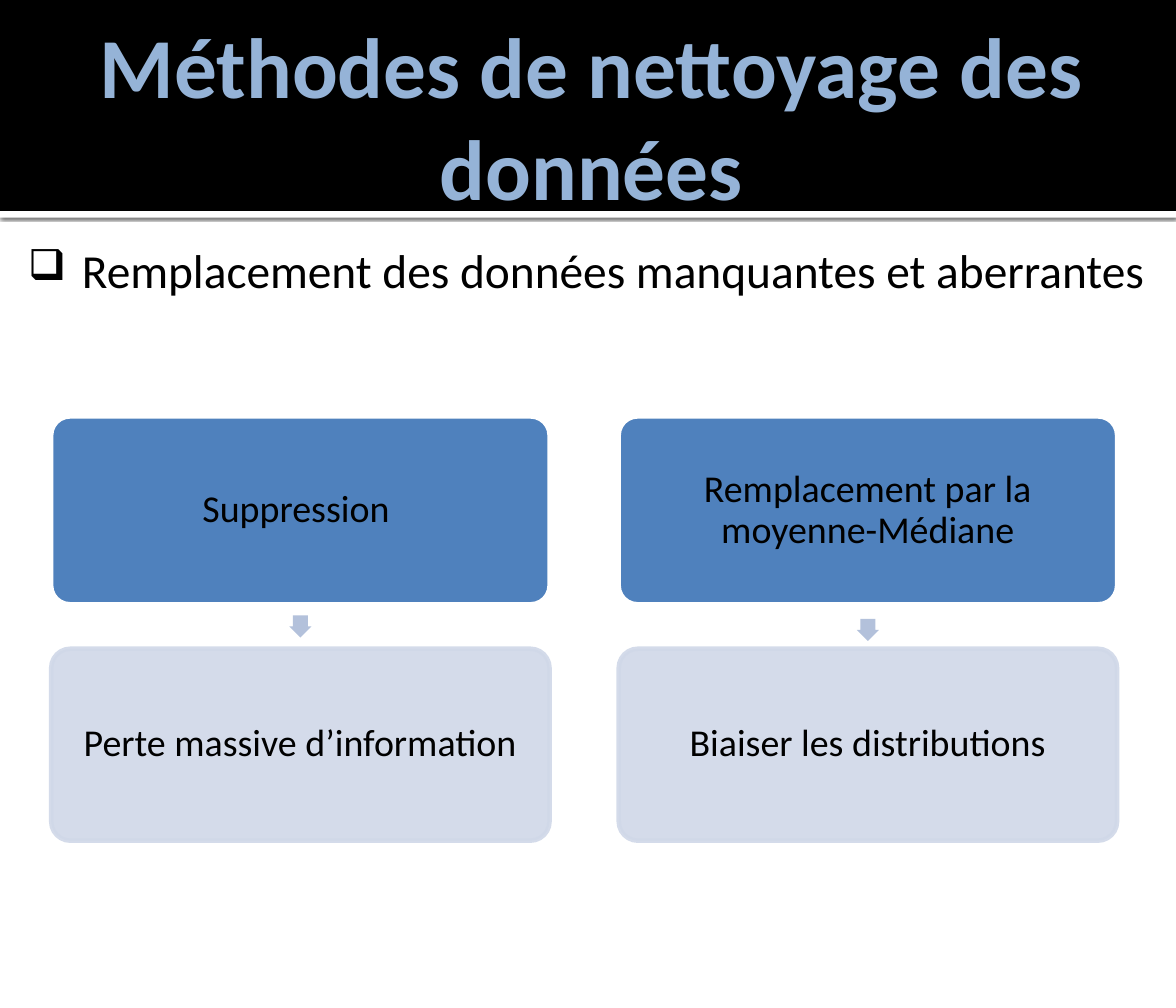
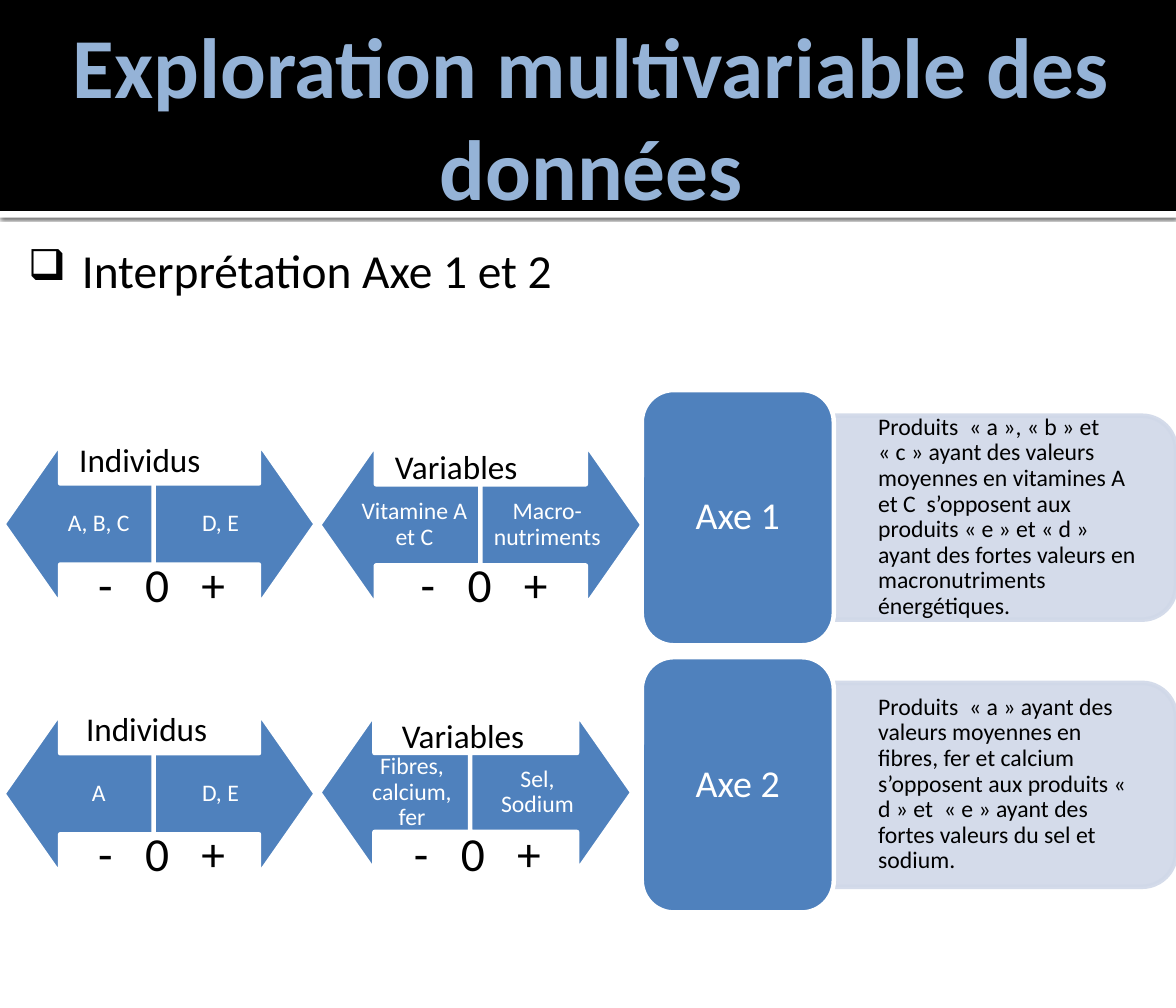
"""Build two slides on data cleaning and on the reading of two factor axes."""
from lxml import etree
from pptx import Presentation
from pptx import util as u
from pptx.dml.color import RGBColor
from pptx.enum import shapes, text
from pptx.oxml import ns

PX = 9144
WIDTH, HEIGHT = 1378, 1181
FONT = "Calibri"
HARD_SPACE = chr(160)
BLACK = RGBColor(0x00, 0x00, 0x00)
WHITE = RGBColor(0xFF, 0xFF, 0xFF)
TITLE_BLUE = RGBColor(0x95, 0xB3, 0xD7)
BLUE = RGBColor(0x4F, 0x81, 0xBD)
PALE_BLUE = RGBColor(0xD0, 0xD8, 0xE8)
ARROW_BLUE = RGBColor(0xB3, 0xC1, 0xDB)
SHAPE = shapes.MSO_SHAPE
CENTER, LEFT = text.PP_ALIGN.CENTER, text.PP_ALIGN.LEFT
MIDDLE, TOP = text.MSO_ANCHOR.MIDDLE, text.MSO_ANCHOR.TOP

CLEANING = {
    "title": "Méthodes de nettoyage des données",
    "subtitle": "Remplacement des données manquantes et aberrantes",
    "methods": [
        ("Suppression ", "Perte massive d’information", 721),
        ("Remplacement par la moyenne-Médiane", "Biaiser les distributions", 725),
    ],
}
EXPLORATION = {
    "title": "Exploration multivariable des données",
    "subtitle": "Interprétation Axe 1 et 2",
    "scales": [
        {"name": "Individus", "name_at": (83, 510), "signs_at": (75, 635), "top": 519, "height": 190,
         "minus": ("A, B, C", 4, 190), "plus": ("D, E", 180, 190)},
        {"name": "Variables", "name_at": (453, 518), "signs_at": (453, 635), "top": 520, "height": 190,
         "minus": ("Vitamine A et C", 374, 190), "plus": ("Macro-nutriments", 563, 190)},
        {"name": "Individus", "name_at": (91, 825), "signs_at": (75, 950), "top": 835, "height": 190,
         "minus": ("A", 4, 190), "plus": ("D, E", 180, 190)},
        {"name": "Variables", "name_at": (461, 833), "signs_at": (445, 950), "top": 836, "height": 185,
         "minus": ("Fibres, calcium, fer", 374, 185), "plus": ("Sel, Sodium", 551, 190)},
    ],
    "axes": [
        ("Axe 1", "Produits  « a », « b » et « c » ayant des valeurs moyennes en vitamines A et C  "
                  "s’opposent aux  produits « e » et « d »  ayant des fortes valeurs en "
                  "macronutriments énergétiques."),
        ("Axe 2", "Produits  « a » ayant des valeurs moyennes en fibres, fer et calcium s’opposent "
                  "aux produits «  d » et  « e » ayant des fortes valeurs du sel et sodium."),
    ],
}


def px(length):
    return u.Emu(length * PX)


def add_child(parent, tag, **attributes):
    child = etree.SubElement(parent, ns.qn(tag))
    for name, value in attributes.items():
        child.set(name, str(value))
    return child


def bind_quotes(words):
    return words.replace("« ", "«" + HARD_SPACE).replace(" »", HARD_SPACE + "»")


def write(shape, words, size, color, insets, align=LEFT, anchor=TOP, spacing=1.0, bold=False):
    frame = shape.text_frame
    frame.word_wrap = True
    frame.vertical_anchor = anchor
    frame.margin_left, frame.margin_top, frame.margin_right, frame.margin_bottom = map(px, insets)
    frame.text = words
    paragraph = frame.paragraphs[0]
    paragraph.alignment = align
    paragraph.line_spacing = spacing
    for run in paragraph.runs:
        run.font.name = FONT
        run.font.size = u.Pt(size)
        run.font.bold = bold
        run.font.color.rgb = color
    return paragraph


def add_text(slide, box, *args, **style):
    return write(slide.shapes.add_textbox(*map(px, box)), *args, **style)


def add_block(slide, kind, box, fill, line=None, adjustments=(), alpha=None):
    shape = slide.shapes.add_shape(kind, *map(px, box))
    shape.shadow.inherit = False
    for index, value in enumerate(adjustments):
        shape.adjustments[index] = value
    shape.fill.solid()
    shape.fill.fore_color.rgb = fill
    if line is None:
        shape.line.fill.background()
    else:
        shape.line.color.rgb = line
        shape.line.width = u.Pt(3.78)
    if alpha is not None:
        for color in shape.element.spPr.iter(ns.qn("a:srgbClr")):
            add_child(color, "a:alpha", val=alpha * 1000)
    return shape


def add_page(presentation, content):
    slide = presentation.slides.add_slide(presentation.slide_layouts[6])
    strip = add_block(slide, SHAPE.RECTANGLE, (0, 247, WIDTH, 8), WHITE)
    effects = strip.element.spPr.find(ns.qn("a:effectLst"))
    shadow = add_child(effects, "a:outerShdw", blurRad=u.Pt(2.5), dist=u.Pt(0.8), dir=5400000, rotWithShape=0)
    add_child(add_child(shadow, "a:srgbClr", val="000000"), "a:alpha", val=60000)
    add_block(slide, SHAPE.RECTANGLE, (0, 0, WIDTH, 247), BLACK)
    add_text(slide, (69, 27, 1240, 216), content["title"], 72, TITLE_BLUE, (15, 7, 7, 7),
             align=CENTER, anchor=MIDDLE, bold=True)
    subtitle = add_text(slide, (5, 268, 1373, 89), content["subtitle"], 40, BLACK, (9, 15, 15, 7))
    properties = subtitle._p.get_or_add_pPr()
    properties.set("marL", str(px(82)))
    properties.set("indent", str(px(-63)))
    add_child(add_child(properties, "a:buClr"), "a:srgbClr", val="000000")
    add_child(properties, "a:buSzPct", val=90000)
    add_child(properties, "a:buFont", typeface="Wingdings", charset=2)
    add_child(properties, "a:buChar", char="q")
    return slide


def build_cleaning(presentation):
    slide = add_page(presentation, CLEANING)
    box_width, pitch = 584, 665
    for column, (method, effect, arrow_top) in enumerate(CLEANING["methods"]):
        left = 60 + column * pitch
        upper = add_block(slide, SHAPE.ROUNDED_RECTANGLE, (left, 488, box_width, 220), BLUE, WHITE, [0.1])
        add_block(slide, SHAPE.DOWN_ARROW, (left + box_width // 2 - 13, arrow_top, 26, 26),
                  ARROW_BLUE, adjustments=[0.67, 0.5])
        lower = add_block(slide, SHAPE.ROUNDED_RECTANGLE, (left, 760, box_width, 225),
                          PALE_BLUE, PALE_BLUE, [0.1], alpha=90)
        for box, words in ((upper, method), (lower, effect)):
            write(box, words, 32, BLACK, (4, 4, 4, 4), CENTER, MIDDLE, 0.9)


def add_scale(slide, scale):
    add_text(slide, (*scale["name_at"], 205, 57), scale["name"], 28, BLACK, (10, 5, 10, 5))
    for kind, side in ((SHAPE.LEFT_ARROW, "minus"), (SHAPE.RIGHT_ARROW, "plus")):
        words, left, width = scale[side]
        arrow = add_block(slide, kind, (left, scale["top"], width, scale["height"]), BLUE, WHITE, [0.5, 0.35])
        write(arrow, words, 20, WHITE, (15, 16, 15, 16), CENTER, MIDDLE, 0.9)
    signs = add_text(slide, (*scale["signs_at"], 213, 89), "-\t0\t+", 40, BLACK, (40, 15, 15, 7))
    stops = add_child(signs._p.get_or_add_pPr(), "a:tabLst")
    for position in (55, 121):
        add_child(stops, "a:tab", pos=px(position), algn="l")


def build_exploration(presentation):
    slide = add_page(presentation, EXPLORATION)
    for scale in EXPLORATION["scales"]:
        add_scale(slide, scale)
    for row, (axis, reading) in enumerate(EXPLORATION["axes"]):
        top = 457 + row * 313
        panel = add_block(slide, SHAPE.ROUND_2_SAME_RECTANGLE, (1058, top - 51, 239, 401),
                          PALE_BLUE, PALE_BLUE, alpha=90)
        panel.rotation = 90
        add_text(slide, (977, top + 41, 389, 216), bind_quotes(reading), 20, BLACK, (52, 14, 27, 14),
                 anchor=MIDDLE, spacing=0.9)
        block = add_block(slide, SHAPE.ROUNDED_RECTANGLE, (752, top, 225, 299), BLUE, WHITE)
        write(block, axis, 32, WHITE, (13, 7, 13, 7), CENTER, MIDDLE, 0.9)


def main():
    presentation = Presentation()
    presentation.slide_width, presentation.slide_height = px(WIDTH), px(HEIGHT)
    build_cleaning(presentation)
    build_exploration(presentation)
    presentation.save("out.pptx")


if __name__ == "__main__":
    main()
